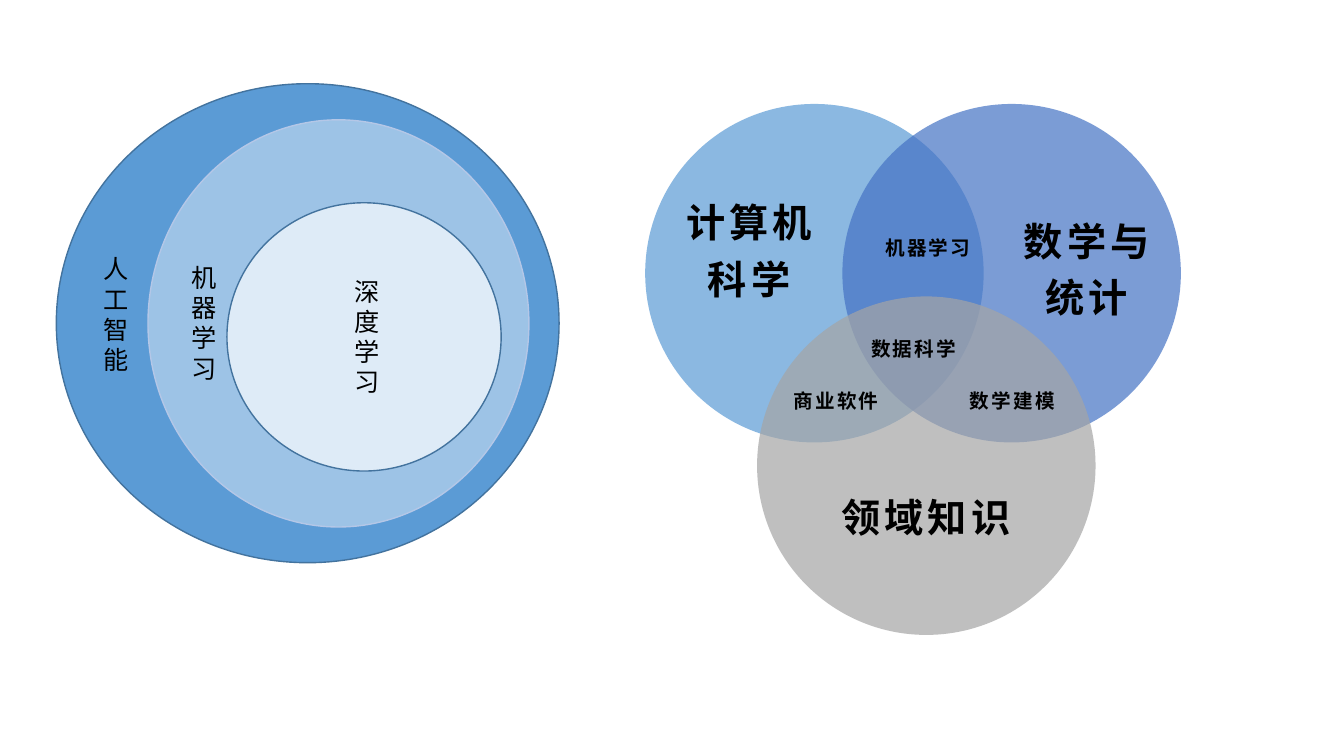
from dataclasses import dataclass

import pptx
import pptx.dml.color
import pptx.enum.shapes
import pptx.enum.text
import pptx.oxml
import pptx.oxml.ns
import pptx.util

Cm = pptx.util.Cm
Pt = pptx.util.Pt


@dataclass(frozen=True)
class Theme:
    outer: str = "5B9BD5"
    middle: str = "9DC3E6"
    inner: str = "DEEBF7"
    rim: str = "43739E"
    soft_rim: str = "B4C7E7"
    computing: str = "5B9BD5"
    maths: str = "4472C4"
    domain: str = "A5A5A5"
    ink: str = "000000"
    opacity: int = 70
    latin_font: str = "Calibri"
    chinese_font: str = "Noto Sans CJK SC"
    ring_size: int = 18
    field_size: int = 28
    overlap_size: int = 14


THEME = Theme()


def rgb(value):
    return pptx.dml.color.RGBColor.from_string(value)


def drawing_element(tag, **attributes):
    element = pptx.oxml.parse_xml(f"<a:{tag} {pptx.oxml.ns.nsdecls('a')}/>")
    for name, value in attributes.items():
        element.set(name, str(value))
    return element


def add_ellipse(slide, left, top, width, height, fill, rim=None, opacity=100):
    ellipse = slide.shapes.add_shape(
        pptx.enum.shapes.MSO_SHAPE.OVAL, Cm(left), Cm(top), Cm(width), Cm(height))
    ellipse.shadow.inherit = False
    ellipse.fill.solid()
    ellipse.fill.fore_color.rgb = rgb(fill)
    if opacity < 100:
        color = ellipse.fill._xPr.find(".//" + pptx.oxml.ns.qn("a:srgbClr"))
        color.append(drawing_element("alpha", val=opacity * 1000))
    if rim:
        ellipse.line.color.rgb = rgb(rim)
        ellipse.line.width = Pt(1)
    else:
        ellipse.line.fill.background()


def add_label(slide, text, left, top, width, height, size, font):
    label = slide.shapes.add_textbox(Cm(left), Cm(top), Cm(width), Cm(height))
    frame = label.text_frame
    frame.word_wrap = True
    frame.text = text
    for paragraph in frame.paragraphs:
        for run in paragraph.runs:
            run.font.size = Pt(size)
            run.font.color.rgb = rgb(THEME.ink)
            run.font.name = font
            run.font._element.append(
                drawing_element("ea", typeface=THEME.chinese_font))
    return frame


def add_ring_label(slide, text, left, top):
    # The narrow box holds one character per line
    frame = add_label(slide, text, left, top, 0.97, 3.33,
                      THEME.ring_size, THEME.latin_font)
    frame.auto_size = pptx.enum.text.MSO_AUTO_SIZE.SHAPE_TO_FIT_TEXT


def add_venn_label(slide, text, left, top, width, height, size, font, spacing):
    frame = add_label(slide, text, left, top, width, height, size, font)
    frame.vertical_anchor = pptx.enum.text.MSO_ANCHOR.MIDDLE
    frame.margin_top = frame.margin_bottom = 0
    for paragraph in frame.paragraphs:
        paragraph.alignment = pptx.enum.text.PP_ALIGN.CENTER
        paragraph.line_spacing = 1.2
        for run in paragraph.runs:
            run.font.bold = True
            run.font._element.set("spc", str(int(spacing * 100)))


def add_nested_rings(slide):
    rings = [
        (1.42, 2.11, 12.67, 12.07, THEME.outer, THEME.rim),
        (3.73, 3.02, 9.6, 10.26, THEME.middle, THEME.soft_rim),
        (5.72, 5.11, 6.91, 6.76, THEME.inner, THEME.rim),
    ]
    for ring in rings:
        add_ellipse(slide, *ring)

    ring_labels = [
        ("人工智能", 2.36, 6.27),
        ("机器学习", 4.57, 6.48),
        ("深度学习", 8.69, 6.83),
    ]
    for ring_label in ring_labels:
        add_ring_label(slide, *ring_label)


def add_venn(slide):
    diameter = 8.53
    circles = [
        (16.26, 2.62, THEME.computing),
        (21.23, 2.62, THEME.maths),
        (19.08, 7.47, THEME.domain),
    ]
    for left, top, fill in circles:
        add_ellipse(slide, left, top, diameter, diameter, fill,
                    opacity=THEME.opacity)

    overlaps = [
        ("商业软件", 19.46, 8.41),
        ("机器学习", 21.77, 4.55),
        ("数学建模", 23.9, 8.41),
        ("数据科学", 21.41, 7.11),
    ]
    for text, left, top in overlaps:
        add_venn_label(slide, text, left, top, 3.23, 3.25,
                       THEME.overlap_size, THEME.latin_font, 1.5)

    fields = [
        ("领域知识", 20.47, 12.27, 5.72),
        ("计算机\n科学", 16.26, 5.56, 5.23),
        ("数学与\n统计", 24.82, 6.02, 5.13),
    ]
    for text, left, top, width in fields:
        add_venn_label(slide, text, left, top, width, 1.27,
                       THEME.field_size, THEME.chinese_font, 3)


def main():
    deck = pptx.Presentation()
    deck.slide_width, deck.slide_height = Cm(33.87), Cm(19.05)
    slide = deck.slides.add_slide(deck.slide_layouts[6])

    # Left: nested fields of artificial intelligence
    add_nested_rings(slide)
    # Right: where data science sits between three fields
    add_venn(slide)

    deck.save("out.pptx")


if __name__ == "__main__":
    main()
